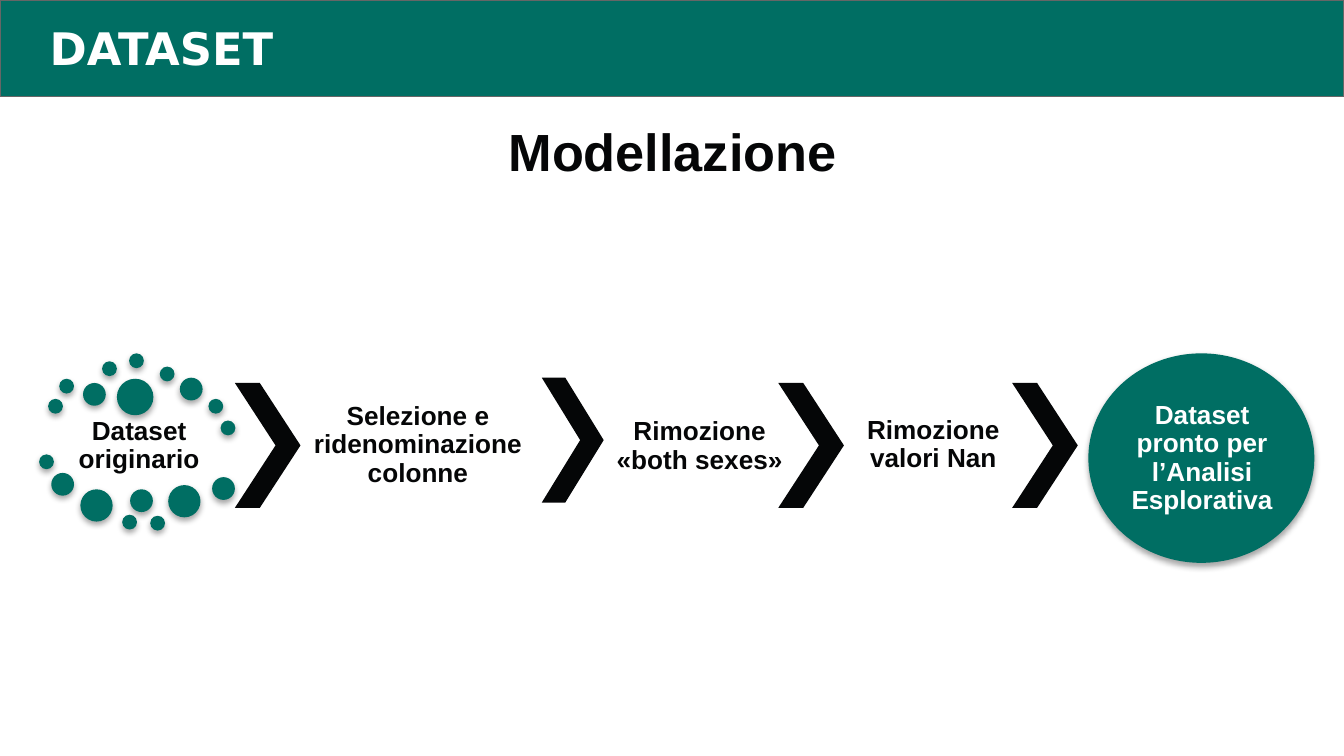
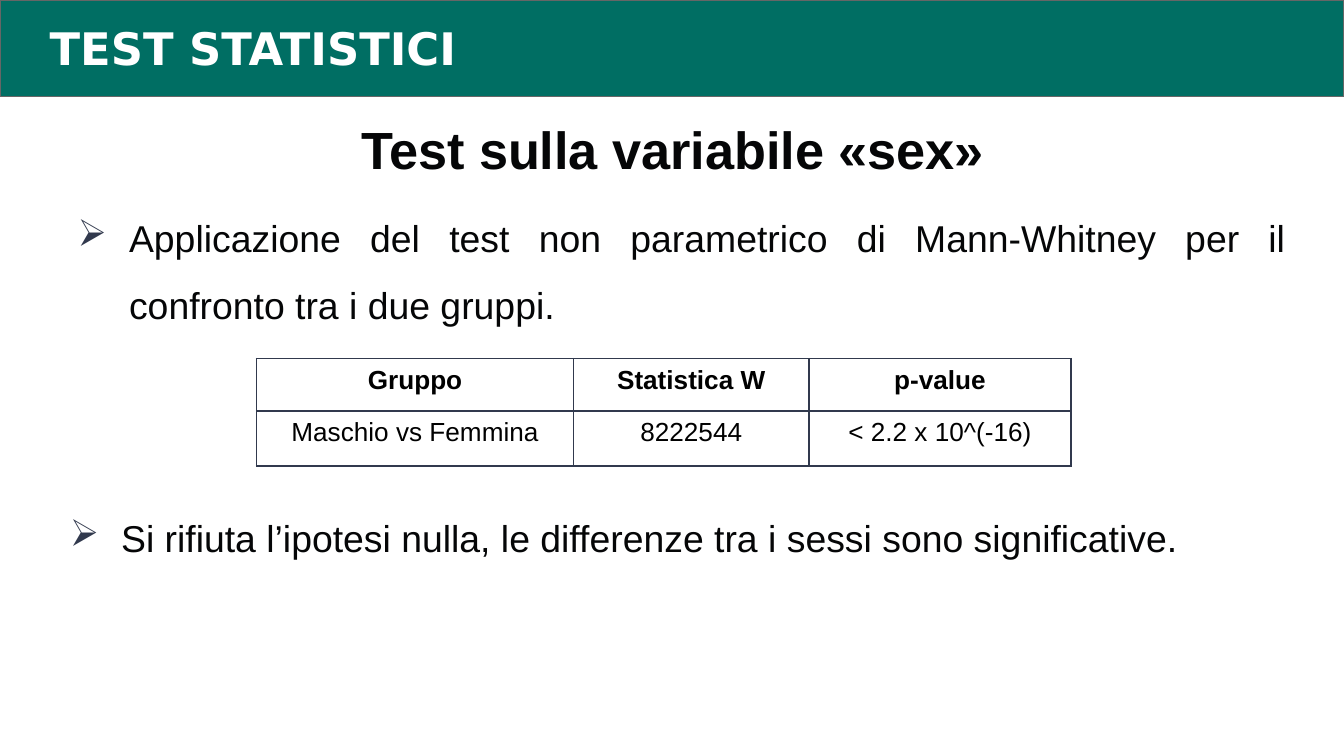
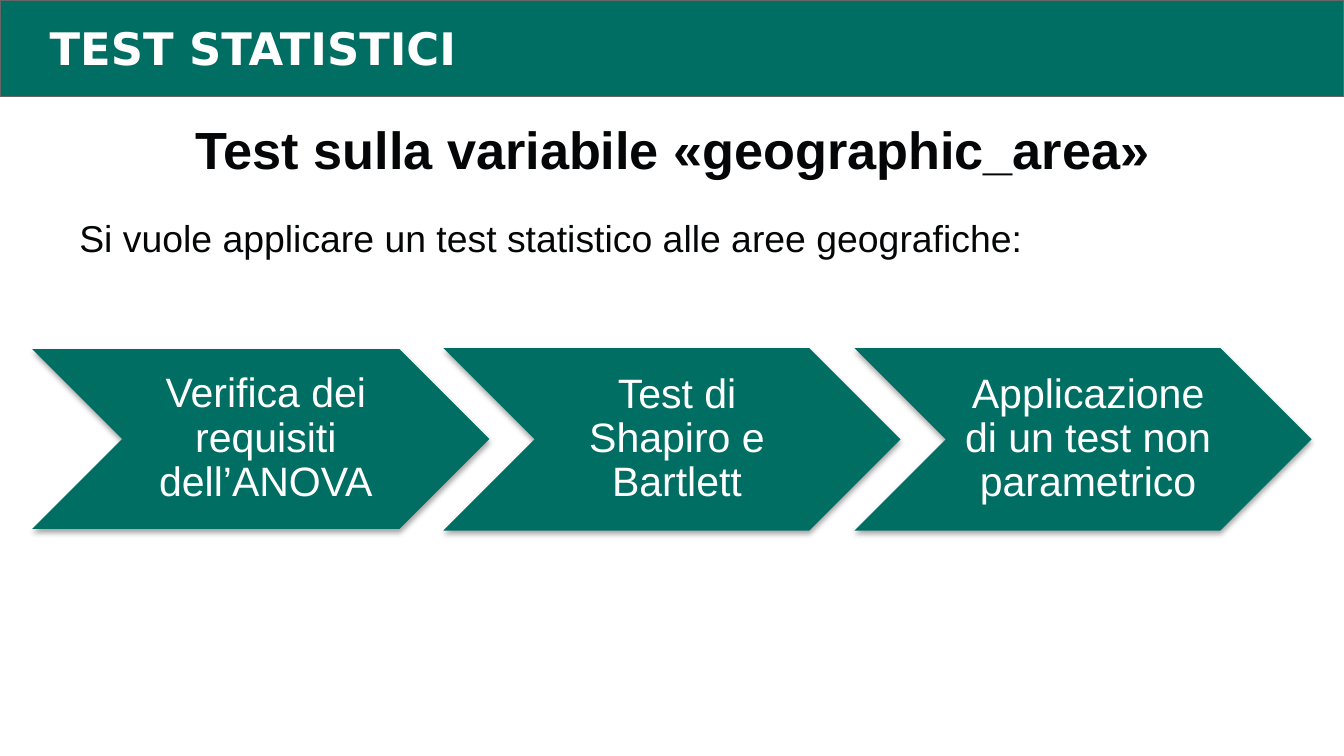
from lxml import etree
from pptx import Presentation
from pptx.dml.color import RGBColor
from pptx.enum import shapes, text
from pptx.oxml import ns
from pptx.util import Cm, Pt

GREEN, INK, WHITE, SLATE = "006E63", "050607", "FFFFFF", "31394D"
KIND, ALIGN = shapes.MSO_SHAPE, text.PP_ALIGN


def color(code):
    return RGBColor.from_string(code)


def node(parent, tag, **attrs):
    return etree.SubElement(parent, ns.qn("a:" + tag), attrs)


class Deck:
    def __init__(self):
        self.prs = Presentation()
        self.prs.slide_width = Cm(25.4)
        self.prs.slide_height = Cm(14.29)
        self.slide = None

    def page(self, head, title, top=1.96):
        self.slide = self.prs.slides.add_slide(self.prs.slide_layouts[6])
        band = self.shape(KIND.RECTANGLE, 0, 0, 25.4, 1.83)
        band.line.color.rgb = color("666666")
        band.line.width = Pt(0.75)
        self.text(head, 0.69, 0.15, 24.2, 1.55, size=24, tint=WHITE,
                  bold=True, font="DejaVu Sans", align=ALIGN.LEFT)
        self.text(title, 2.16, top, 21.1, 2.9, size=28, bold=True)

    def style(self, para, size, tint=INK, bold=False, font="Arial", align=ALIGN.CENTER):
        para.alignment = align
        para.font.size = Pt(size)
        para.font.name = font
        para.font.bold = bold
        para.font.color.rgb = color(tint)

    def shape(self, kind, x, y, w, h, fill=GREEN, adj=None, shade=False):
        form = self.slide.shapes.add_shape(kind, Cm(x), Cm(y), Cm(w), Cm(h))
        form.fill.solid()
        form.fill.fore_color.rgb = color(fill)
        form.line.fill.background()
        form.shadow.inherit = False
        if adj is not None:
            form.adjustments[0] = adj
        if shade:
            effect = form._element.spPr.find(ns.qn("a:effectLst"))
            outer = node(effect, "outerShdw", blurRad="40000", dist="23000",
                         dir="5400000", rotWithShape="0")
            node(node(outer, "srgbClr", val="000000"), "alpha", val="35000")
        return form

    def text(self, words, x, y, w, h, pad=(0.25,) * 4, mid=False, space=None, **look):
        frame = self.slide.shapes.add_textbox(Cm(x), Cm(y), Cm(w), Cm(h)).text_frame
        frame.word_wrap = True
        frame.margin_left, frame.margin_top, frame.margin_right, frame.margin_bottom = map(Cm, pad)
        frame.vertical_anchor = text.MSO_ANCHOR.MIDDLE if mid else text.MSO_ANCHOR.TOP
        para = frame.paragraphs[0]
        para.text = words
        para.line_spacing = space
        self.style(para, **look)
        return para

    def label(self, words, x, y, w, h, pad=(0.05,) * 4, size=14, bold=True, tint=INK):
        self.text(words, x, y, w, h, pad, True, 0.9, size=size, bold=bold, tint=tint)

    def body(self, words, x, y, h, left=1.35, bullet=True):
        para = self.text(words, x, y, 23.72, h, space=1.5, size=20, align=ALIGN.JUSTIFY)
        props = para._p.get_or_add_pPr()
        props.set("marL", str(Cm(left)))
        if bullet:
            props.set("indent", str(Cm(-0.97)))
            node(node(props, "buClr"), "srgbClr", val=SLATE)
            node(props, "buChar", char="➢")

    def table(self, rows, x, y, widths, heights):
        grid = self.slide.shapes.add_table(
            len(rows), len(widths), Cm(x), Cm(y), Cm(sum(widths)), Cm(sum(heights))).table
        for col, width in zip(grid.columns, widths):
            col.width = Cm(width)
        for r, row in enumerate(rows):
            grid.rows[r].height = Cm(heights[r])
            for c, words in enumerate(row):
                cell = grid.cell(r, c)
                cell.text = words
                self.style(cell.text_frame.paragraphs[0], 14, "000000", r == 0)
                self.frame(cell)

    def frame(self, cell):
        props = cell._tc.get_or_add_tcPr()
        for side in ("lnL", "lnR", "lnT", "lnB"):
            edge = node(props, side, w=str(Pt(1)))
            node(node(edge, "solidFill"), "srgbClr", val=SLATE)
        cell.fill.solid()
        cell.fill.fore_color.rgb = color(WHITE)


def model(deck):
    deck.page("DATASET", "Modellazione", 2.01)
    deck.label("Dataset originario", 0.94, 7.87, 3.38, 1.12)
    dots = {
        0.28: [(0.91, 7.54), (1.12, 7.16), (1.93, 6.83), (2.44, 6.68), (3.02, 6.93),
               (3.94, 7.54), (4.17, 7.95), (0.74, 8.59), (2.31, 9.73), (2.84, 9.75)],
        0.43: [(1.57, 7.24), (3.4, 7.14), (0.97, 8.94), (2.46, 9.25), (4.01, 9.02)],
        0.61: [(1.52, 9.25), (3.18, 9.17)],
        0.69: [(2.21, 7.16)],
    }
    for size, spots in dots.items():
        for x, y in spots:
            deck.shape(KIND.OVAL, x, y, size, size, shade=True)
    for x, y, w in ((4.44, 7.24, 1.24), (10.24, 7.14, 1.17),
                    (14.71, 7.24, 1.24), (19.13, 7.24, 1.24)):
        deck.shape(KIND.CHEVRON, x, y, w, 2.36, INK, 0.62)
    for words, x, y, w in (("Selezione e ridenominazione colonne", 5.69, 7.24, 4.42),
                           ("Rimozione «both sexes»", 11.51, 7.26, 3.43),
                           ("Rimozione valori Nan", 15.95, 7.24, 3.38)):
        deck.label(words, x, y, w, 2.36)
    deck.shape(KIND.OVAL, 20.57, 6.68, 4.27, 3.96, shade=True)
    deck.label("Dataset pronto per l’Analisi Esplorativa", 21.21, 7.26, 3.02, 2.82,
               (0,) * 4, tint=WHITE)


def sexes(deck):
    deck.page("TEST STATISTICI", "Test sulla variabile «sex»")
    deck.body("Applicazione del test non parametrico di Mann-Whitney per il "
              "confronto tra i due gruppi.", 0.84, 3.4, 3.07)
    deck.body("Si rifiuta l’ipotesi nulla, le differenze tra i sessi sono significative.",
              0.69, 9.07, 1.8)
    deck.table([("Gruppo", "Statistica W", "p-value"),
                ("Maschio vs Femmina", "8222544", "< 2.2 x 10^(-16)")],
               4.85, 6.78, (5.99, 4.45, 4.95), (0.99, 1.04))


def areas(deck):
    deck.page("TEST STATISTICI", "Test sulla variabile «geographic_area»")
    deck.body("Si vuole applicare un test statistico alle aree geografiche:",
              0.84, 3.4, 1.8, 0.41, False)
    steps = (("Verifica dei requisiti dell’ANOVA", 6.6, 3.4),
             ("Test di Shapiro e Bartlett", 6.58, 3.45),
             ("Applicazione di un test non parametrico", 6.58, 3.45))
    for i, (words, y, h) in enumerate(steps):
        x = 0.61 + 7.77 * i
        deck.shape(KIND.CHEVRON, x, y, 8.64, h, adj=0.5, shade=True)
        deck.label(words, x + 1.73, y, 5.2, h, (0.25, 0.08, 0.08, 0.08), 22, False, WHITE)


def main():
    deck = Deck()
    for build in (model, sexes, areas):
        build(deck)
    deck.prs.save("out.pptx")


if __name__ == "__main__":
    main()
